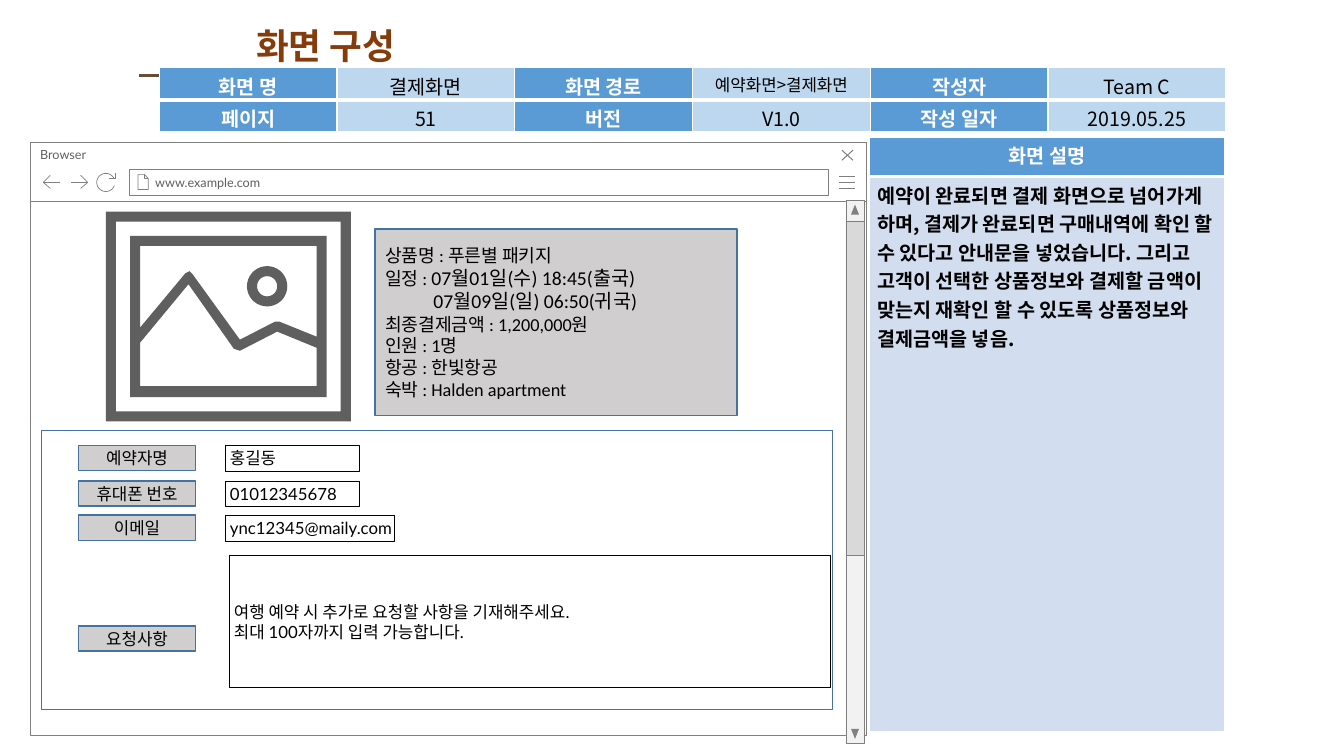
from math import cos, radians, sin

from lxml import etree
from pptx import Presentation
from pptx.dml.color import RGBColor
from pptx.enum.shapes import MSO_CONNECTOR, MSO_SHAPE
from pptx.enum.text import MSO_ANCHOR, PP_ALIGN
from pptx.oxml.ns import qn
from pptx.util import Inches, Pt

RECT, TRIANGLE = MSO_SHAPE.RECTANGLE, MSO_SHAPE.ISOSCELES_TRIANGLE
LEFT, CENTER = PP_ALIGN.LEFT, PP_ALIGN.CENTER
TOP, MIDDLE = MSO_ANCHOR.TOP, MSO_ANCHOR.MIDDLE

WHITE = RGBColor(0xFF, 0xFF, 0xFF)
BLACK = RGBColor(0, 0, 0)
BROWN = RGBColor(0x84, 0x3C, 0x0C)
RULE = RGBColor(0x67, 0x4C, 0x37)
GRAY = RGBColor(0x80, 0x80, 0x80)
DARK = RGBColor(0x5F, 0x5F, 0x5F)
PANEL = RGBColor(0xD0, 0xCE, 0xCE)
TRACK = RGBColor(0xF2, 0xF2, 0xF2)
THUMB = RGBColor(0xD9, 0xD9, 0xD9)
NAVY = RGBColor(0x43, 0x73, 0x9E)
BLUE = RGBColor(0x5B, 0x9B, 0xD5)
SKY = RGBColor(0xBD, 0xD7, 0xEE)
PALE = RGBColor(0xD2, 0xDE, 0xEF)

PAD = (0.1, 0.05, 0.1, 0.05)
FIELD_PAD = (0.05, 0.02, 0.05, 0.02)
TABLE_FONT = "Noto Sans CJK KR"


def paint(sp, fill, line, weight):
    sp.shadow.inherit = False
    if fill is None:
        sp.fill.background()
    else:
        sp.fill.solid()
        sp.fill.fore_color.rgb = fill
    if line is None:
        sp.line.fill.background()
    else:
        sp.line.color.rgb = line
        sp.line.width = Pt(weight)


def write(tf, text, size, font, color, bold=False, align=LEFT):
    tf.text = text
    for p in tf.paragraphs:
        p.alignment = align
        for r in p.runs:
            r.font.size, r.font.name, r.font.bold = Pt(size), font, bold
            r.font.color.rgb = color


def add_box(s, box, fill, line, weight=0.5, kind=RECT, pad=PAD, anchor=MIDDLE):
    sp = s.shapes.add_shape(kind, *map(Inches, box))
    paint(sp, fill, line, weight)
    tf = sp.text_frame
    tf.word_wrap, tf.vertical_anchor = True, anchor
    tf.margin_left, tf.margin_top, tf.margin_right, tf.margin_bottom = map(Inches, pad)
    return sp


def add_outline(s, x, y, contours, fill=None, line=GRAY, weight=0.5, close=False):
    """Draw contours given as points relative to (x, y)."""
    fb = None
    for points in contours:
        start, *rest = [(Inches(x + a), Inches(y + b)) for a, b in points]
        if fb is None:
            fb = s.shapes.build_freeform(*start)
        else:
            fb.move_to(*start)
        fb.add_line_segments(rest, close=close)
    paint(fb.convert_to_shape(), fill, line, weight)


def arc(cx, cy, radius, start=0, end=360, step=10):
    return [(cx + radius * cos(radians(a)), cy + radius * sin(radians(a)))
            for a in range(start, end + 1, step)]


def frame(x, y, w, h):
    return [(x, y), (x + w, y), (x + w, y + h), (x, y + h)]


def add_title(s, x, y, w, h):
    sp = s.shapes.add_textbox(*map(Inches, (x, y, w, h)))
    sp.text_frame.word_wrap = True
    write(sp.text_frame, "화면 구성", 25.4, "Calibri", BROWN, True, CENTER)
    ends = (x, y + 0.56, x + 3.47, y + 0.56)
    cn = s.shapes.add_connector(MSO_CONNECTOR.STRAIGHT, *map(Inches, ends))
    cn.line.color.rgb, cn.line.width = RULE, Pt(2.5)
    etree.SubElement(cn._element.spPr, qn("a:effectLst"))


def add_browser(s, x, y, w, h):
    bar = 0.59
    add_box(s, (x, y + bar, w, h - bar), WHITE, GRAY)
    sp = add_box(s, (x, y, w, bar), WHITE, GRAY, pad=(0.1, 0.05, 0.25, 0.05), anchor=TOP)
    write(sp.text_frame, "Browser", 9, "Lato", DARK)
    # Menu and close icons
    add_outline(s, x + w - 0.27, y + 0.34, [[(0, d), (0.16, d)] for d in (0, 0.06, 0.12)])
    add_outline(s, x + w - 0.24, y + 0.08,
                [[(0, 0), (0.11, 0.1)], [(0.11, 0), (0, 0.1)]], weight=0.75)
    # Address field with its page icon
    sp = add_box(s, (x + 0.98, y + 0.27, 6.94, 0.26), WHITE, GRAY, pad=(0.26, 0.05, 0.1, 0.05))
    write(sp.text_frame, "www.example.com", 9, "Lato", DARK)
    add_outline(s, x + 1.07, y + 0.32,
                [[(0.06, 0), (0.06, 0.04), (0.1, 0.04)],
                 [(0, 0), (0, 0.15), (0.1, 0.15), (0.1, 0.04), (0.06, 0), (0, 0)]])
    # Back, forward and reload icons
    for left, tip, tail in ((0.13, 0, 0.17), (0.4, 0.17, 0)):
        barb = 0.07 if tip == 0 else 0.1
        add_outline(s, x + left, y + 0.33,
                    [[(barb, 0), (tip, 0.07), (barb, 0.13)], [(tip, 0.07), (tail, 0.07)]])
    add_outline(s, x + 0.66, y + 0.3,
                [[(0.18, 0.01), (0.18, 0.06), (0.12, 0.06)], arc(0.09, 0.1, 0.09, 20, 330)])


def add_image_icon(s, x, y, w, h):
    hill = [(0.34, 1.15), (0.79, 0.61), (0.83, 0.59), (0.86, 0.62), (1.33, 1.27),
            (1.68, 1.09), (1.72, 1.09), (2.09, 1.24)]
    ridge = [(0.34, 1.3), (0.82, 0.72), (1.27, 1.36), (1.33, 1.38), (1.7, 1.19), (2.09, 1.35)]
    contours = [frame(d, d, w - 2 * d, h - 2 * d) for d in (0, 0.1, 0.24)]
    contours += [
        [(0.34, 0.34), *hill, (2.09, 0.34)],
        [*ridge, (2.09, 1.73), (0.34, 1.73)],
        arc(1.6, 0.74, 0.2), arc(1.6, 0.74, 0.1),
    ]
    add_outline(s, x, y, contours, DARK, None, close=True)


def add_product(s, x, y, w, h):
    lines = ["상품명 : 푸른별 패키지", "일정 : 07월01일(수) 18:45(출국)", "07월09일(일) 06:50(귀국)",
             "최종결제금액 : 1,200,000원", "인원 : 1명", "항공 : 한빛항공", "숙박 : Halden apartment"]
    sp = add_box(s, (x, y, w, h), PANEL, NAVY, 1)
    tf = sp.text_frame
    write(tf, "\n".join(lines), 13, "Calibri", BLACK)
    # Larger dates, the return date indented under the departure
    going, back = tf.paragraphs[1:3]
    label, date = "일정 : ", lines[1][5:]
    going.runs[0].text = label
    r = going.add_run()
    r.text = date
    r.font.name, r.font.color.rgb = "Calibri", BLACK
    r.font.size = back.runs[0].font.size = Pt(14)
    back._p.get_or_add_pPr().set("marL", str(Inches(0.48)))


def add_form(s, x, y, w, h):
    add_box(s, (x, y, w, h), WHITE, NAVY, 1)
    request = "여행 예약 시 추가로 요청할 사항을 기재해주세요.\n최대 100자까지 입력 가능합니다."
    # label, label top, value, value box
    rows = [("예약자명", 0.15, "홍길동", (1.82, 0.15, 1.33, 0.25)),
            ("휴대폰 번호", 0.5, "01012345678", (1.82, 0.5, 1.33, 0.25)),
            ("이메일", 0.84, "ync12345@maily.com", (1.82, 0.84, 1.68, 0.26)),
            ("요청사항", 1.94, request, (1.86, 1.24, 5.96, 1.31))]
    for label, top, value, (dx, dy, fw, fh) in rows:
        sp = add_box(s, (x + 0.37, y + top, 1.16, 0.25), PANEL, NAVY, 1)
        write(sp.text_frame, label, 12, "Calibri", BLACK, align=CENTER)
        sp = add_box(s, (x + dx, y + dy, fw, fh), WHITE, BLACK, 0.25, pad=FIELD_PAD)
        sp.text_frame.word_wrap = False
        write(sp.text_frame, value, 12, "Lato", BLACK)


def add_scrollbar(s, x, y, w, h):
    add_box(s, (x, y, w, h), TRACK, GRAY, 0.25)
    add_box(s, (x, y + 0.2, w, 3.32), THUMB, GRAY, 0.25)
    for top, turn in ((0.04, 0), (h - 0.14, 180)):
        sp = add_box(s, (x + 0.05, y + top, 0.08, 0.1), GRAY, None, kind=TRIANGLE)
        sp.rotation = turn


def add_grid(s, x, y, w, heights, rows, bottom=0.04):
    """rows holds (text, size, fill, colour, bold, alignment) for each cell."""
    box = map(Inches, (x, y, w, sum(heights)))
    table = s.shapes.add_table(len(rows), len(rows[0]), *box).table
    table.horz_banding = False
    for i, (height, row) in enumerate(zip(heights, rows)):
        table.rows[i].height = Inches(height)
        for j, (text, size, fill, color, bold, align) in enumerate(row):
            c = table.cell(i, j)
            c.margin_left = c.margin_right = Inches(0.08)
            c.margin_top, c.margin_bottom = Inches(0.04), Inches(bottom)
            # Thick white rule between the two rows
            tcPr = c._tc.get_or_add_tcPr()
            ln = etree.SubElement(tcPr, qn("a:lnT" if i else "a:lnB"), w=str(Pt(3)))
            etree.SubElement(etree.SubElement(ln, qn("a:solidFill")), qn("a:srgbClr"), val=str(WHITE))
            c.fill.solid()
            c.fill.fore_color.rgb = fill
            tcPr.insert(0, ln)
            write(c.text_frame, text, size, TABLE_FONT, color, bold, align)


def add_info(s, x, y, w, h):
    facts = [[("화면 명", "결제화면", 14), ("화면 경로", "예약화면>결제화면", 12), ("작성자", "Team C", 14)],
             [("페이지", "51", 14), ("버전", "V1.0", 14), ("작성 일자", "2019.05.25", 14)]]
    rows = [[c for name, value, size in row
             for c in ((name, 14, BLUE, WHITE, True, CENTER),
                       (value, size, SKY, BLACK, False, CENTER))] for row in facts]
    add_grid(s, x, y, w, [h / 2] * 2, rows, bottom=0)


def add_description(s, x, y, w, h):
    text = ("예약이 완료되면 결제 화면으로 넘어가게 하며, 결제가 완료되면 구매내역에 확인 할 수 있다고 안내문을 넣었습니다. "
            "그리고 고객이 선택한 상품정보와 결제할 금액이 맞는지 재확인 할 수 있도록 상품정보와 결제금액을 넣음.")
    rows = [[("화면 설명", 14, BLUE, WHITE, True, CENTER)],
            [(text, 14, PALE, BLACK, True, LEFT)]]
    add_grid(s, x, y, w, [0.39, h - 0.39], rows)


def main():
    prs = Presentation()
    prs.slide_width, prs.slide_height = Inches(13.33), Inches(7.5)
    s = prs.slides.add_slide(prs.slide_layouts[6])
    add_title(s, 1.38, 0.19, 3.7, 0.53)
    add_browser(s, 0.3, 1.41, 8.29, 5.89)
    add_image_icon(s, 1.05, 2.1, 2.43, 2.08)
    add_product(s, 3.72, 2.27, 3.59, 1.85)
    add_form(s, 0.41, 4.27, 7.85, 2.77)
    add_scrollbar(s, 8.39, 1.99, 0.18, 5.38)
    add_info(s, 1.58, 0.67, 10.58, 0.64)
    add_description(s, 8.62, 1.36, 3.53, 5.9)
    prs.save("out.pptx")


if __name__ == "__main__":
    main()
